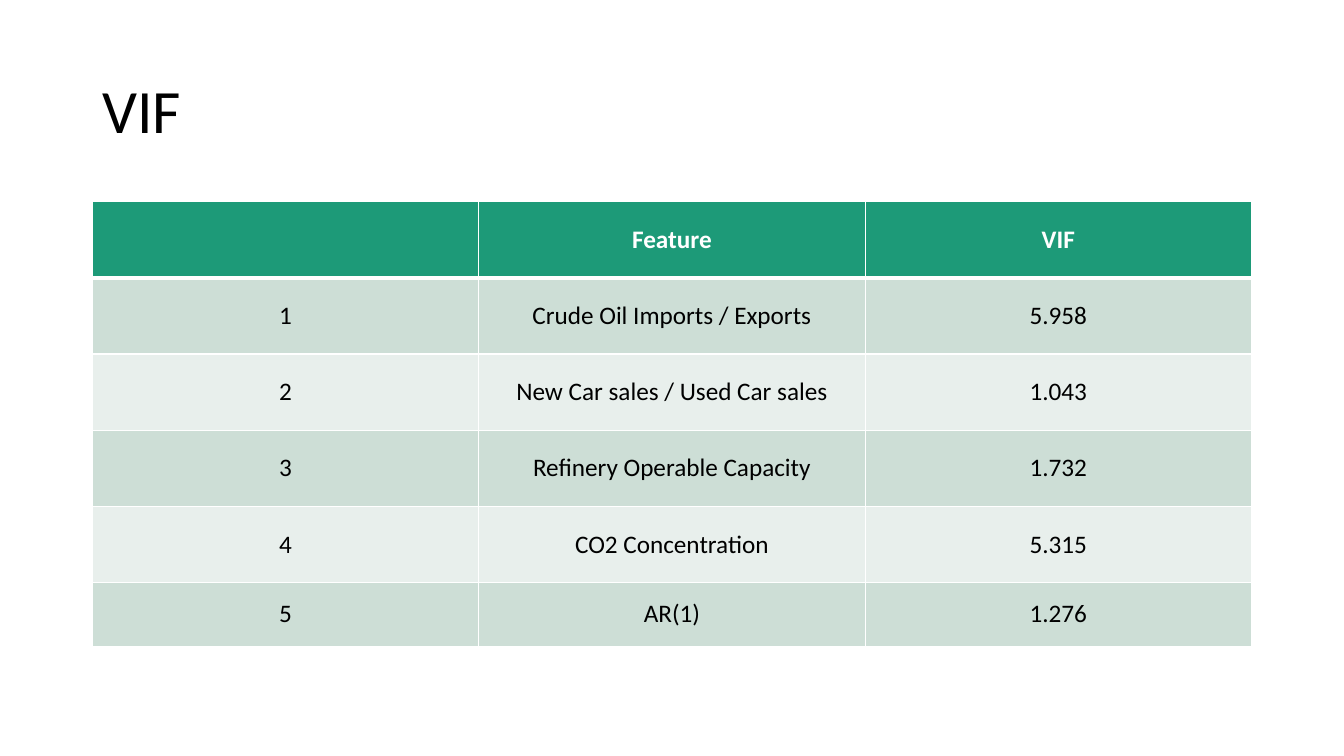
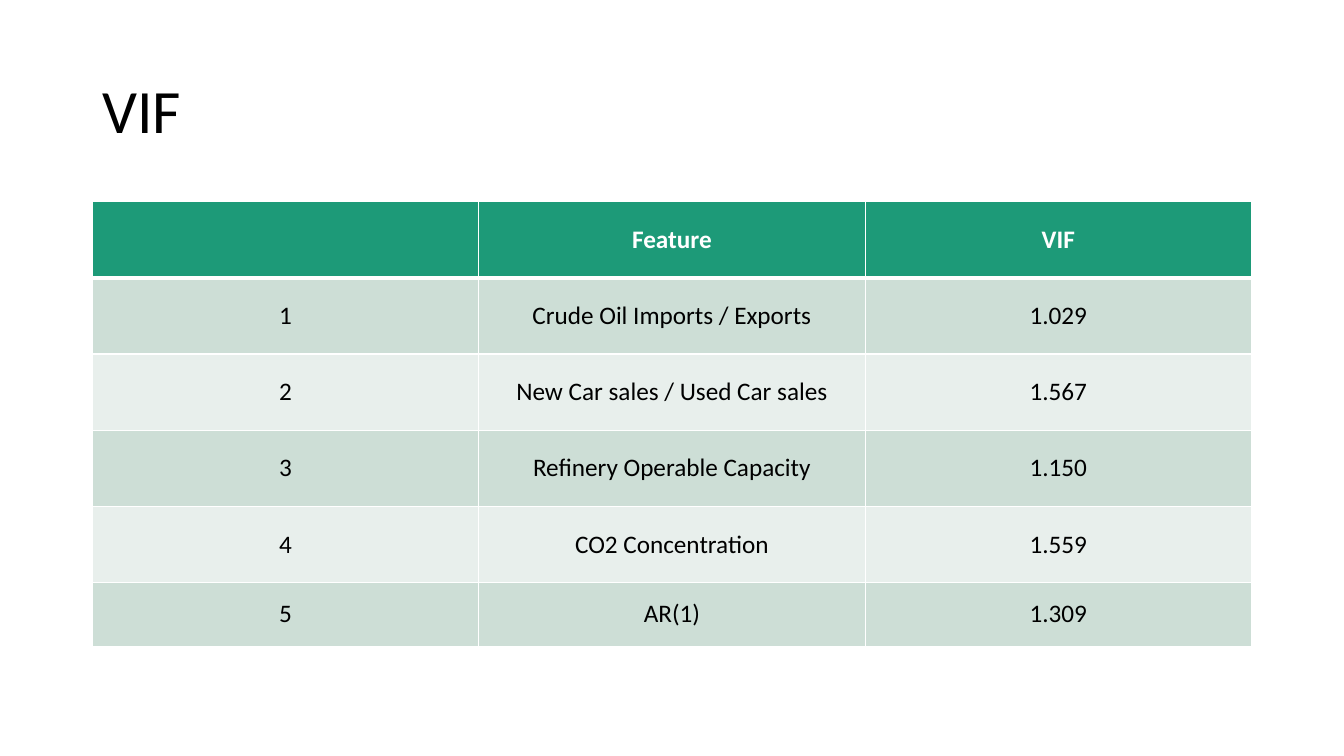
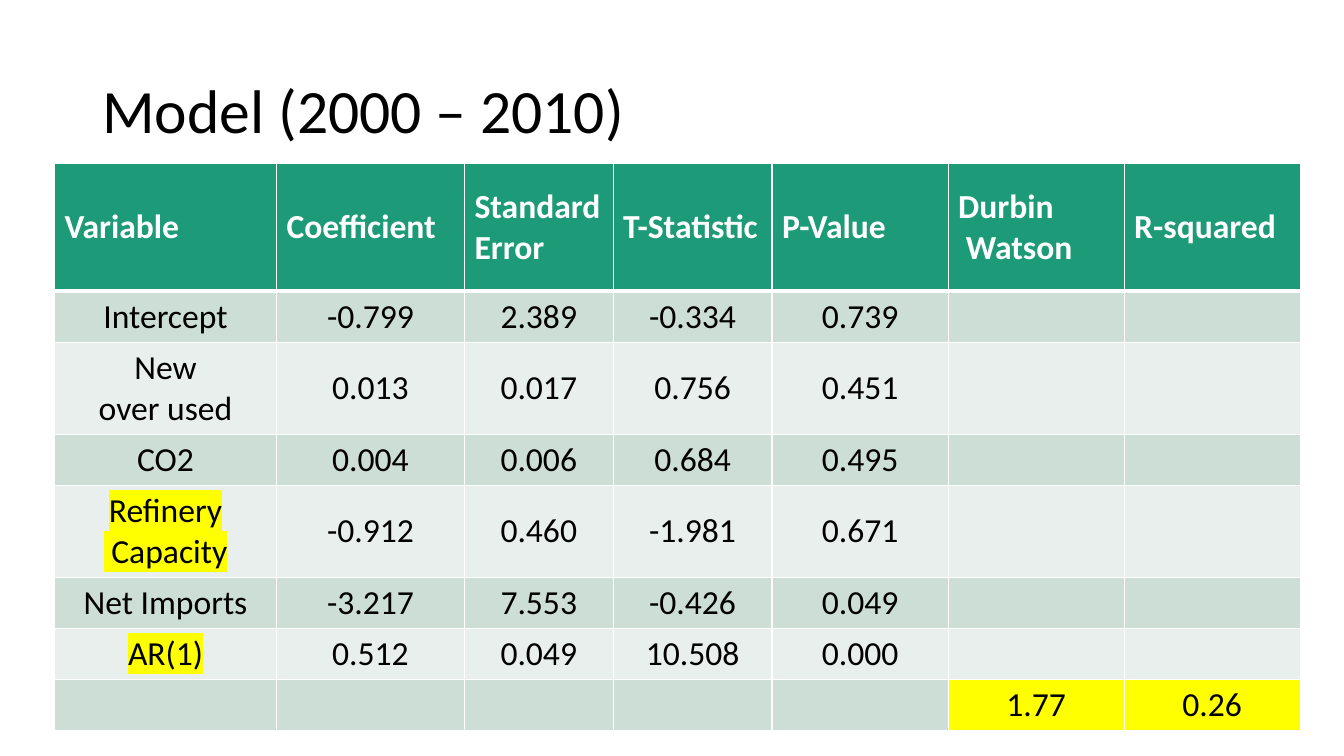
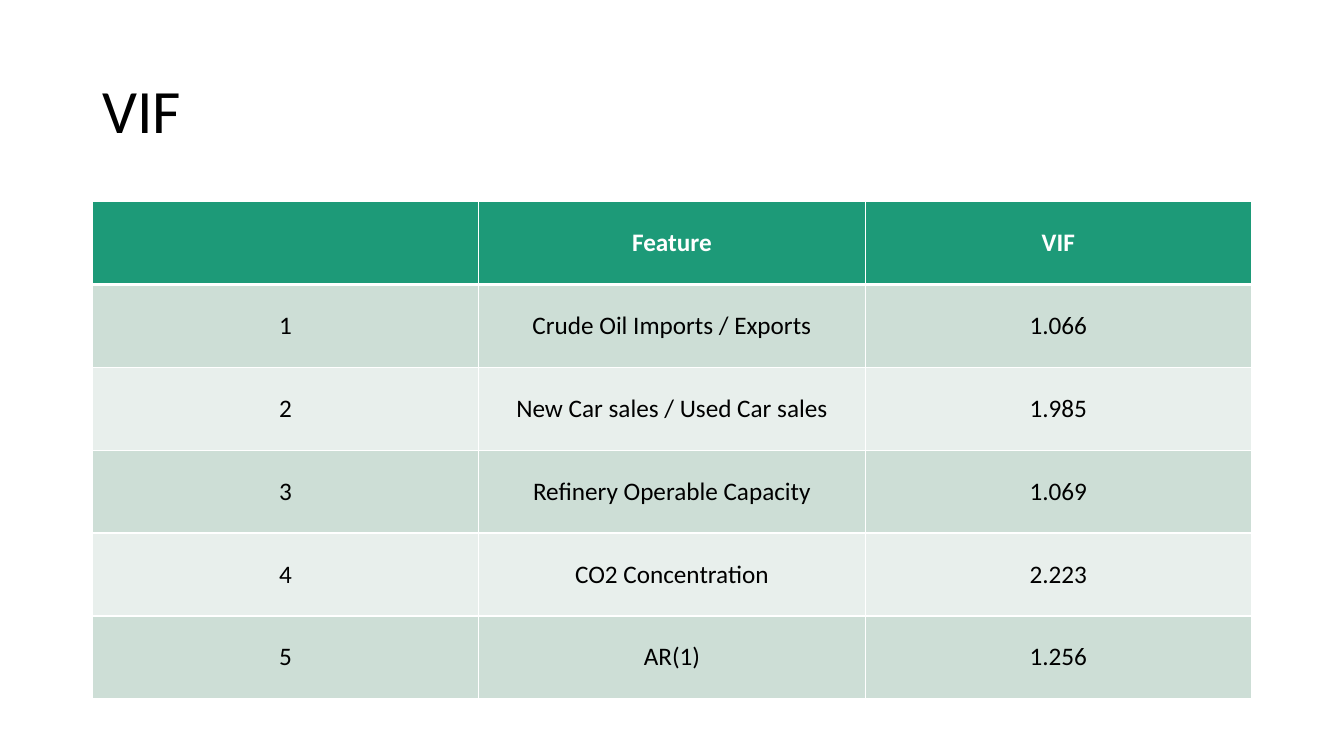
"""Build four slides of regression tables with a shared title and table style."""
from dataclasses import dataclass

from lxml import etree
from pptx import Presentation
from pptx.dml.color import RGBColor
from pptx.enum.text import MSO_ANCHOR, PP_ALIGN
from pptx.oxml.ns import qn
from pptx.slide import Slide
from pptx.table import _Cell
from pptx.text.text import _Paragraph
from pptx.util import Pt

MIDDLE = MSO_ANCHOR.MIDDLE
LEFT, CENTER = PP_ALIGN.LEFT, PP_ALIGN.CENTER
FONT = "Calibri"
HUES = {
    "head": "1D9A78",
    "odd": "CDDED6",
    "even": "E8EFEC",
    "mark": "FFFF00",
    "dark": "000000",
    "light": "FFFFFF",
}
NBSP = "\u00a0"
THIN, THICK = 1, 3


@dataclass(frozen=True)
class Grid:
    title: str
    left: float
    top: float
    cols: list[float]
    rows: list[float]
    cells: list[list[str]]
    size: float
    align: PP_ALIGN = CENTER
    marks: frozenset[tuple[int, int]] = frozenset()
    fills: frozenset[tuple[int, int]] = frozenset()


def style(para: _Paragraph, size: float, hue: str, bold: bool = False) -> None:
    font = para.font
    font.name = FONT
    font.size = Pt(size)
    font.bold = bold
    font.color.rgb = RGBColor.from_string(HUES[hue])


def add_hue(node: etree._Element, hue: str) -> None:
    etree.SubElement(node, qn("a:srgbClr"), val=HUES[hue])


def edge(cell: _Cell, above: float, below: float) -> None:
    props = cell._tc.get_or_add_tcPr()
    sides = {"L": THIN, "R": THIN, "T": above, "B": below}
    for spot, (side, width) in enumerate(sides.items()):
        line = etree.Element(qn(f"a:ln{side}"), w=str(Pt(width)))
        add_hue(etree.SubElement(line, qn("a:solidFill")), "light")
        props.insert(spot, line)


def add_title(slide: Slide, text: str) -> None:
    frame = slide.shapes.add_textbox(Pt(66), Pt(28.75), Pt(828), Pt(104.4)).text_frame
    frame.word_wrap = True
    frame.vertical_anchor = MIDDLE
    para = frame.paragraphs[0]
    para.text = text
    para.line_spacing = 0.9
    style(para, 44, "dark")


def fill_cell(cell: _Cell, grid: Grid, row: int, col: int) -> None:
    head = row == 0
    hue = "head" if head else "odd" if row % 2 else "even"
    if (row, col) in grid.fills:
        hue = "mark"
    cell.fill.solid()
    cell.fill.fore_color.rgb = RGBColor.from_string(HUES[hue])
    edge(cell, THICK if row == 1 else THIN, THICK if head else THIN)
    cell.vertical_anchor = MIDDLE
    text = grid.cells[row][col]
    if not text:
        return
    para = cell.text_frame.paragraphs[0]
    run = para.add_run()
    run.text = text
    para.alignment = grid.align if head else CENTER
    style(para, grid.size, "light" if head else "dark", head)
    if (row, col) in grid.marks:
        props = run._r.get_or_add_rPr()
        add_hue(etree.SubElement(props, qn("a:highlight")), "mark")


def add_grid(slide: Slide, grid: Grid) -> None:
    table = slide.shapes.add_table(
        len(grid.rows), len(grid.cols), Pt(grid.left), Pt(grid.top),
        Pt(sum(grid.cols)), Pt(sum(grid.rows)),
    ).table
    table.horz_banding = False
    for col, width in enumerate(grid.cols):
        table.columns[col].width = Pt(width)
    for row, height in enumerate(grid.rows):
        table.rows[row].height = Pt(height)
        for col in range(len(grid.cols)):
            fill_cell(table.cell(row, col), grid, row, col)


def vif(rows: list[float], values: list[str]) -> Grid:
    names = [
        "Crude Oil Imports / Exports",
        "New Car sales / Used Car sales",
        "Refinery Operable Capacity",
        "CO2 Concentration",
        "AR(1)",
    ]
    body = [[str(num), name, value]
            for num, (name, value) in enumerate(zip(names, values), 1)]
    return Grid("VIF", 66, 144, [276] * 3, rows, [["", "Feature", "VIF"], *body], 18)


SHORT = [54.45] * 5 + [45.4]
TALL = [59.2] * 6
ONE, TWO = 36.45, 65.75
MODEL = Grid(
    "Model (2000 – 2010)", 39, 117,
    [158.5, 134.25, 106.25, 113.5] + [125.75] * 3,
    [91, ONE, TWO, ONE, TWO, ONE, ONE, ONE],
    [
        ["Variable", "Coefficient", "Standard Error", "T-Statistic", "P-Value",
         f"Durbin {NBSP}Watson", "R-squared"],
        ["Intercept", "-0.799", "2.389", "-0.334", "0.739", "", ""],
        [f"New over{NBSP}used", "0.013", "0.017", "0.756", "0.451", "", ""],
        ["CO2", "0.004", "0.006", "0.684", "0.495", "", ""],
        [f"Refinery {NBSP}Capacity", "-0.912", "0.460", "-1.981", "0.671", "", ""],
        ["Net Imports", "-3.217", "7.553", "-0.426", "0.049", "", ""],
        ["AR(1)", "0.512", "0.049", "10.508", "0.000", "", ""],
        ["", "", "", "", "", "1.77", "0.26"],
    ],
    24, LEFT,
    marks=frozenset({(4, 0), (6, 0)}),
    fills=frozenset({(7, 5), (7, 6)}),
)
GRIDS = [
    vif(SHORT, ["5.958", "1.043", "1.732", "5.315", "1.276"]),
    vif(SHORT, ["1.029", "1.567", "1.150", "1.559", "1.309"]),
    MODEL,
    vif(TALL, ["1.066", "1.985", "1.069", "2.223", "1.256"]),
]


def main() -> None:
    deck = Presentation()
    deck.slide_width, deck.slide_height = Pt(960), Pt(540)
    for grid in GRIDS:
        slide = deck.slides.add_slide(deck.slide_layouts[6])
        add_title(slide, grid.title)
        add_grid(slide, grid)
    deck.save("out.pptx")


main()
